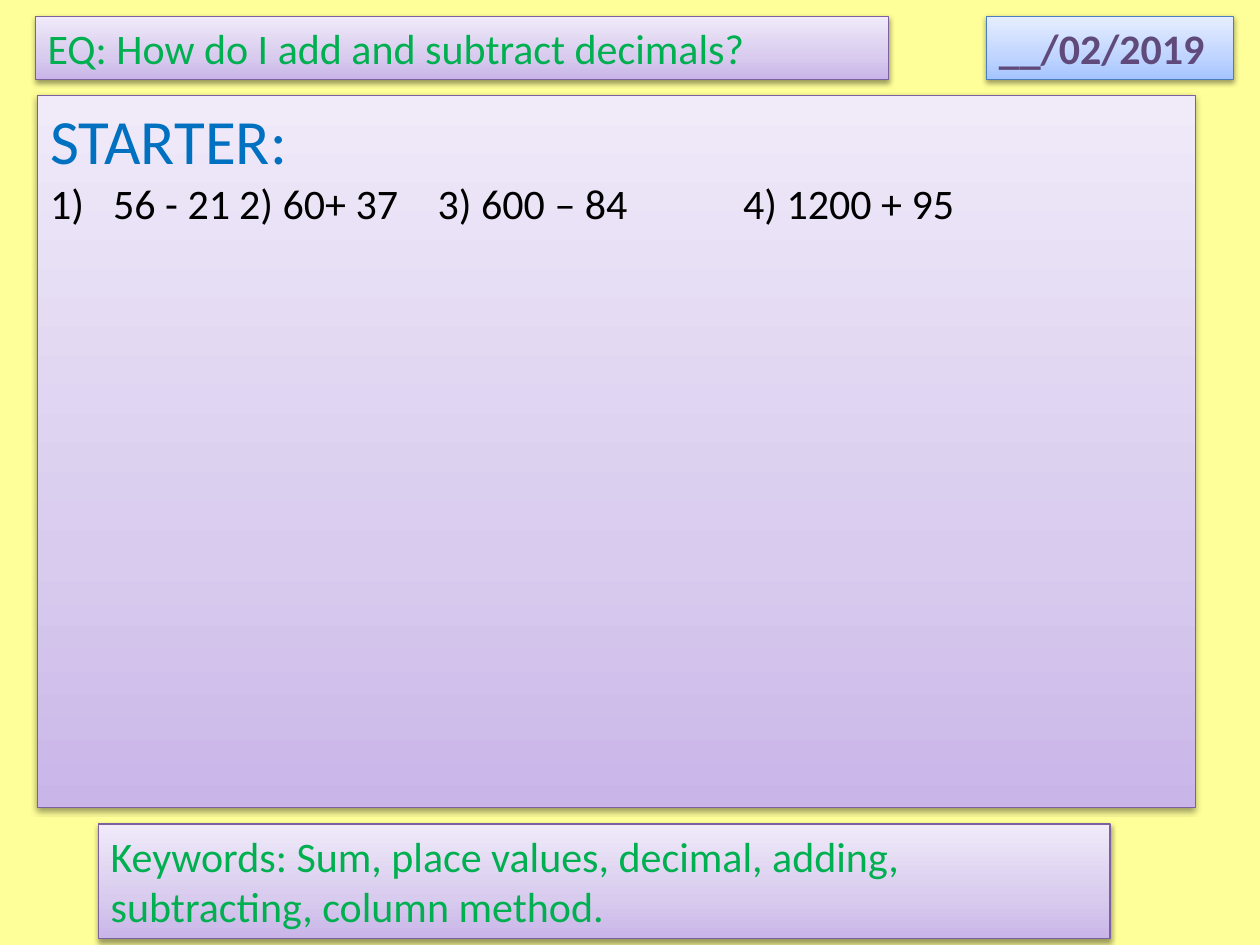
from copy import deepcopy

from lxml import etree
from pptx import Presentation
from pptx.dml.color import RGBColor
from pptx.enum.text import MSO_ANCHOR
from pptx.oxml import parse_xml
from pptx.oxml.ns import nsdecls, qn
from pptx.util import Inches, Pt

TOP = MSO_ANCHOR.TOP
YELLOW = RGBColor(0xFF, 0xFF, 0x99)
GREEN = RGBColor(0x00, 0xB0, 0x50)
BLUE = RGBColor(0x00, 0x70, 0xC0)
BLACK = RGBColor(0x00, 0x00, 0x00)
PLUM = RGBColor(0x60, 0x4A, 0x7B)
PURPLE_LINE = RGBColor(0x7D, 0x60, 0xA0)
BLUE_LINE = RGBColor(0x4B, 0x7E, 0xBC)
PURPLE_STOPS = (RGBColor(0xC9, 0xB5, 0xE8), RGBColor(0xD8, 0xCB, 0xEE),
                RGBColor(0xF0, 0xEA, 0xF9))
BLUE_STOPS = (RGBColor(0xA4, 0xC4, 0xFF), RGBColor(0xBF, 0xD4, 0xFF),
              RGBColor(0xE6, 0xEE, 0xFF))
STOP_POSITIONS = (0, 0.35, 1)
SHADOW = (
    f'<a:effectLst {nsdecls("a")}>'
    '<a:outerShdw blurRad="40000" dist="20000" dir="5400000" rotWithShape="0">'
    '<a:srgbClr val="000000"><a:alpha val="38000"/></a:srgbClr>'
    '</a:outerShdw></a:effectLst>'
)


class LessonSlide:
    font = "Calibri"

    def __init__(self, slide):
        self.slide = slide
        background = slide.background.fill
        background.solid()
        background.fore_color.rgb = YELLOW

    def panel(self, left, top, width, height, stops=PURPLE_STOPS, line=PURPLE_LINE):
        """Add a shaded, shadowed box and return its text frame."""
        box = self.slide.shapes.add_textbox(
            Inches(left), Inches(top), Inches(width), Inches(height))
        self.shade(box, stops)
        box.line.color.rgb = line
        box.line.width = Pt(0.75)
        box._element.spPr.append(parse_xml(SHADOW))
        frame = box.text_frame
        frame.word_wrap = True
        frame.vertical_anchor = TOP
        return frame

    def shade(self, box, colors):
        box.fill.gradient()
        box.fill.gradient_angle = 90
        stop_list = next(box._element.spPr.iter(qn("a:gsLst")))
        stop_list.append(deepcopy(stop_list[-1]))
        for stop, position, color in zip(box.fill.gradient_stops, STOP_POSITIONS, colors):
            stop.position = position
            stop.color.rgb = color

    def set_text(self, paragraph, text, color, size=24, bold=False):
        paragraph.text = text
        for run in paragraph.runs:
            run.font.name = self.font
            run.font.size = Pt(size)
            run.font.bold = bold
            run.font.color.rgb = color

    def number(self, paragraph):
        """Number the paragraph as 1) with a hanging indent."""
        properties = paragraph._p.get_or_add_pPr()
        properties.set("marL", str(Inches(0.5)))
        properties.set("indent", str(-Inches(0.5)))
        etree.SubElement(properties, qn("a:buFont"), typeface="+mj-lt")
        etree.SubElement(properties, qn("a:buAutoNum"), type="arabicParenR")


def main():
    presentation = Presentation()
    presentation.slide_width = Inches(10)
    presentation.slide_height = Inches(7.5)
    lesson = LessonSlide(presentation.slides.add_slide(presentation.slide_layouts[6]))

    question = lesson.panel(0.28, 0.13, 6.77, 0.5)
    lesson.set_text(question.paragraphs[0], "EQ: How do I add and subtract decimals?", GREEN)

    starter = lesson.panel(0.3, 0.76, 9.19, 5.65)
    lesson.set_text(starter.paragraphs[0], "STARTER:", BLUE, size=36)
    sums = starter.add_paragraph()
    lesson.number(sums)
    lesson.set_text(sums, "56 - 21\t2) 60+ 37\t 3) 600 – 84\t\t4) 1200 + 95", BLACK)

    date = lesson.panel(7.83, 0.13, 1.96, 0.5, BLUE_STOPS, BLUE_LINE)
    lesson.set_text(date.paragraphs[0], "__/02/2019", PLUM, bold=True)

    keywords = lesson.panel(0.78, 6.54, 8.03, 0.91)
    lesson.set_text(
        keywords.paragraphs[0],
        "Keywords: Sum, place values, decimal, adding, subtracting, column method.",
        GREEN)

    presentation.save("out.pptx")


if __name__ == "__main__":
    main()
